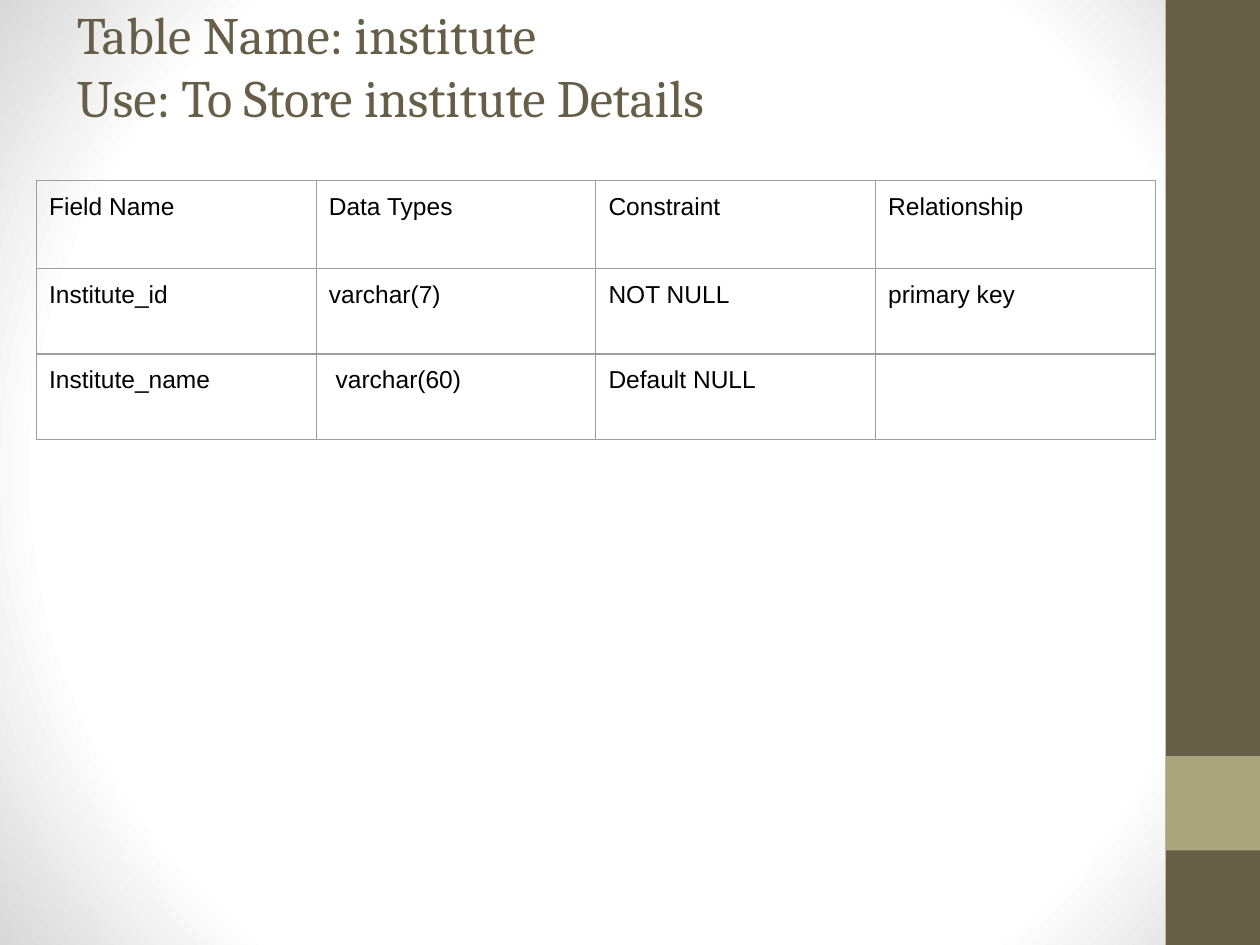
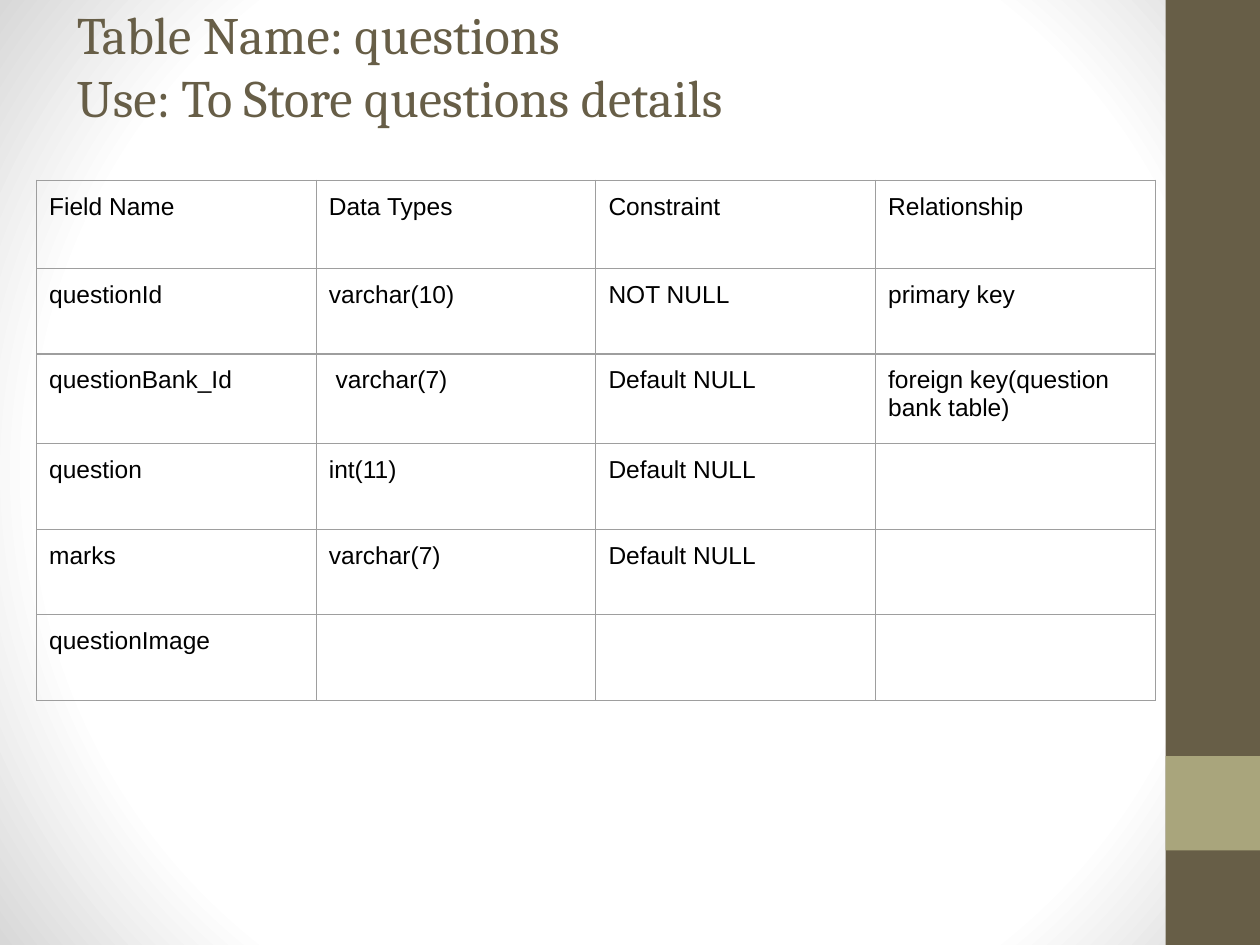
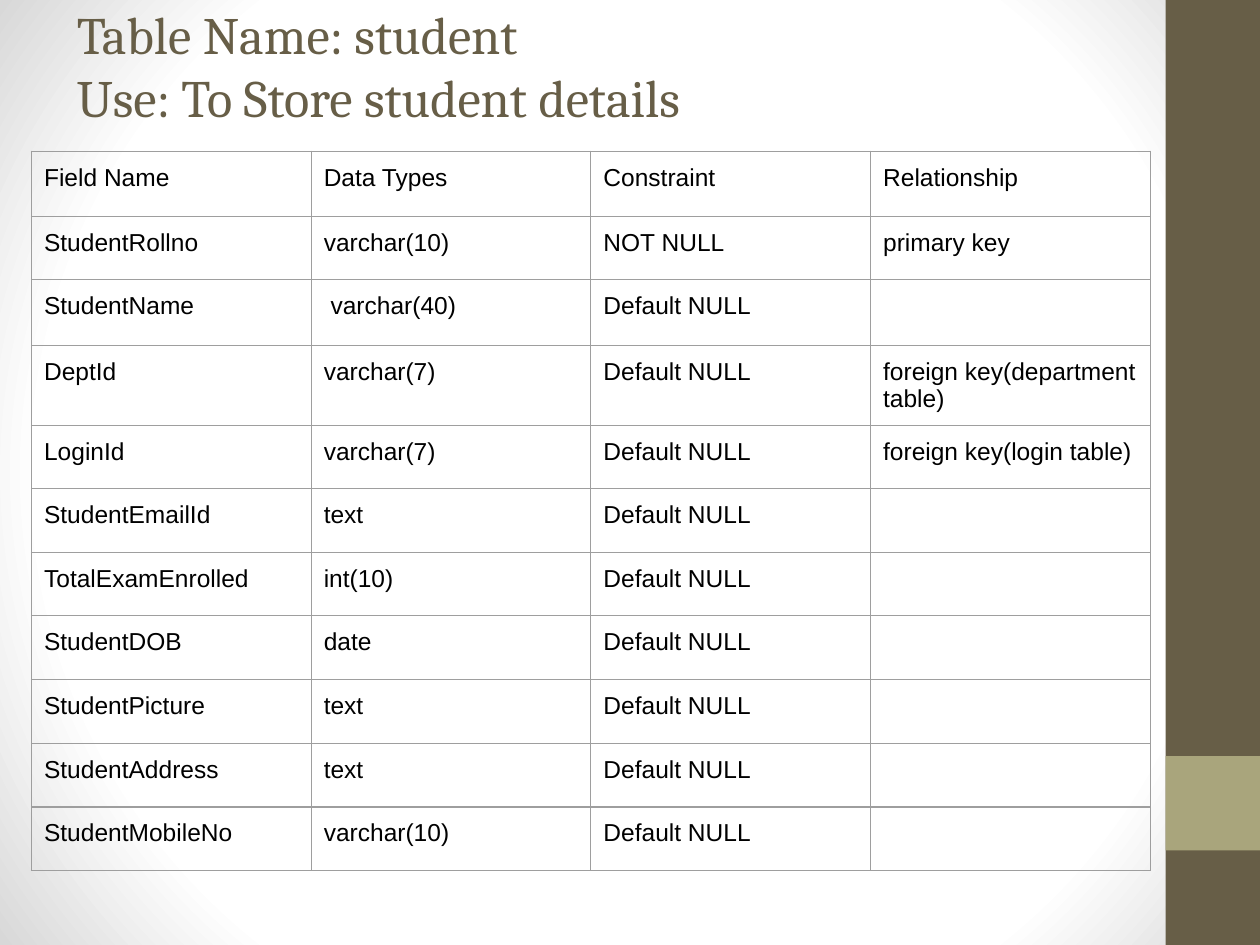
import pptx
import pptx.dml.color
import pptx.enum.shapes
import pptx.enum.text
import pptx.oxml
import pptx.oxml.ns
import pptx.util
from pptx.util import Inches

OLIVE = "675E47"
SAGE = "A9A57C"
BLACK = "000000"
BORDER_GREY = "9E9E9E"
GLOW = ((0, "FFFFFF"), (75, "FFFFFF"), (100, "D8D8D8"))

TITLE_FONT = "Cambria"
TABLE_FONT = "Arial"
INSET = Inches(0.1)
COLUMN_WIDTH = Inches(2.22)
BORDER_WIDTH = pptx.util.Pt(0.75)

HEADINGS = ("Field Name", "Data Types", "Constraint", "Relationship")
OPTIONAL = "Default NULL"

INSTITUTE_FIELDS = (
    ("Institute_id", "varchar(7)", "NOT NULL", "primary key"),
    ("Institute_name", " varchar(60)", OPTIONAL, ""),
)
QUESTION_FIELDS = (
    ("questionId", "varchar(10)", "NOT NULL", "primary key"),
    ("questionBank_Id", " varchar(7)", OPTIONAL, "foreign key(question bank table)"),
    ("question", "int(11)", OPTIONAL, ""),
    ("marks", "varchar(7)", OPTIONAL, ""),
    ("questionImage", "", "", ""),
)
STUDENT_FIELDS = (
    ("StudentRollno", "varchar(10)", "NOT NULL", "primary key"),
    ("StudentName", " varchar(40)", OPTIONAL, ""),
    ("DeptId", "varchar(7)", OPTIONAL, "foreign key(department table)"),
    ("LoginId", "varchar(7)", OPTIONAL, "foreign key(login table)"),
    ("StudentEmailId", "text", OPTIONAL, ""),
    ("TotalExamEnrolled", "int(10)", OPTIONAL, ""),
    ("StudentDOB", "date", OPTIONAL, ""),
    ("StudentPicture", "text", OPTIONAL, ""),
    ("StudentAddress", "text", OPTIONAL, ""),
    ("StudentMobileNo", "varchar(10)", OPTIONAL, ""),
)


def rgb(color):
    return pptx.dml.color.RGBColor.from_string(color)


def set_glow_background(master):
    """Give every slide the circular white-to-grey gradient."""
    master.background.fill.solid()
    background = master.element.find(".//" + pptx.oxml.ns.qn("p:bgPr"))
    stops = "".join(
        f'<a:gs pos="{percent * 1000}"><a:srgbClr val="{color}"/></a:gs>'
        for percent, color in GLOW
    )
    gradient = pptx.oxml.parse_xml(
        f'<a:gradFill {pptx.oxml.ns.nsdecls("a")} rotWithShape="1">'
        f'<a:gsLst>{stops}</a:gsLst><a:path path="circle">'
        '<a:fillToRect l="50000" t="50000" r="50000" b="50000"/>'
        "</a:path></a:gradFill>"
    )
    background.replace(background[0], gradient)


def add_band(slide, top, height, color):
    band = slide.shapes.add_shape(
        pptx.enum.shapes.MSO_SHAPE.RECTANGLE,
        Inches(9.25), Inches(top), Inches(0.75), Inches(height),
    )
    band.shadow.inherit = False
    band.fill.solid()
    band.fill.fore_color.rgb = rgb(color)
    band.line.fill.background()


def add_text(paragraph, text, font_name, size, color):
    run = paragraph.add_run()
    run.text = text
    run.font.name = font_name
    run.font.size = pptx.util.Pt(size)
    run.font.color.rgb = rgb(color)


def set_title(slide, lines):
    title = slide.shapes.title
    title.left, title.top = Inches(0.51), Inches(0.19)
    title.width, title.height = Inches(8.33), Inches(1.24)
    frame = title.text_frame
    frame.word_wrap = True
    frame.auto_size = pptx.enum.text.MSO_AUTO_SIZE.NONE
    frame.vertical_anchor = pptx.enum.text.MSO_ANCHOR.MIDDLE
    frame.margin_left = frame.margin_right = frame.margin_top = INSET
    frame.margin_bottom = Inches(0.69)  # lifts the two lines to the slide top
    for index, line in enumerate(lines):
        paragraph = frame.add_paragraph() if index else frame.paragraphs[0]
        paragraph.alignment = pptx.enum.text.PP_ALIGN.LEFT
        add_text(paragraph, line, TITLE_FONT, 30, OLIVE)


def set_borders(cell):
    properties = cell._tc.get_or_add_tcPr()
    for side in "LRTB":
        properties.append(pptx.oxml.parse_xml(
            f'<a:ln{side} {pptx.oxml.ns.nsdecls("a")} w="{BORDER_WIDTH}">'
            f'<a:solidFill><a:srgbClr val="{BORDER_GREY}"/></a:solidFill>'
            f"</a:ln{side}>"
        ))


def fill_cell(cell, text):
    set_borders(cell)
    cell.fill.background()
    cell.margin_left = cell.margin_right = INSET
    cell.margin_top = cell.margin_bottom = INSET
    if text:
        add_text(cell.text_frame.paragraphs[0], text, TABLE_FONT, 14, BLACK)


def add_field_table(slide, left, top, fields, row_heights):
    records = (HEADINGS, *fields)
    table = slide.shapes.add_table(
        len(records), len(HEADINGS), Inches(left), Inches(top),
        COLUMN_WIDTH * len(HEADINGS), Inches(sum(row_heights)),
    ).table
    table.first_row = table.horz_banding = False
    for column in table.columns:
        column.width = COLUMN_WIDTH
    for row, height, record in zip(table.rows, row_heights, records):
        row.height = Inches(height)
        for cell, text in zip(row.cells, record):
            fill_cell(cell, text)


def add_schema_slide(deck, name, use, left, top, fields, row_heights):
    slide = deck.slides.add_slide(deck.slide_layouts.get_by_name("Title Only"))
    add_band(slide, 0, 7.5, OLIVE)
    add_band(slide, 6, 0.75, SAGE)
    set_title(slide, (f"Table Name: {name}", f"Use: To Store {use}"))
    add_field_table(slide, left, top, fields, row_heights)


def main():
    deck = pptx.Presentation()
    deck.slide_width, deck.slide_height = Inches(10), Inches(7.5)
    set_glow_background(deck.slide_master)
    add_schema_slide(deck, "institute", "institute Details", 0.29, 1.43,
                     INSTITUTE_FIELDS, [0.7, 0.68, 0.68])
    add_schema_slide(deck, "questions", "questions details", 0.29, 1.43,
                     QUESTION_FIELDS, [0.7, 0.68, 0.71] + [0.68] * 3)
    add_schema_slide(deck, "student", "student details", 0.25, 1.2,
                     STUDENT_FIELDS, [0.52, 0.5, 0.52] + [0.5] * 8)
    deck.save("out.pptx")


if __name__ == "__main__":
    main()
